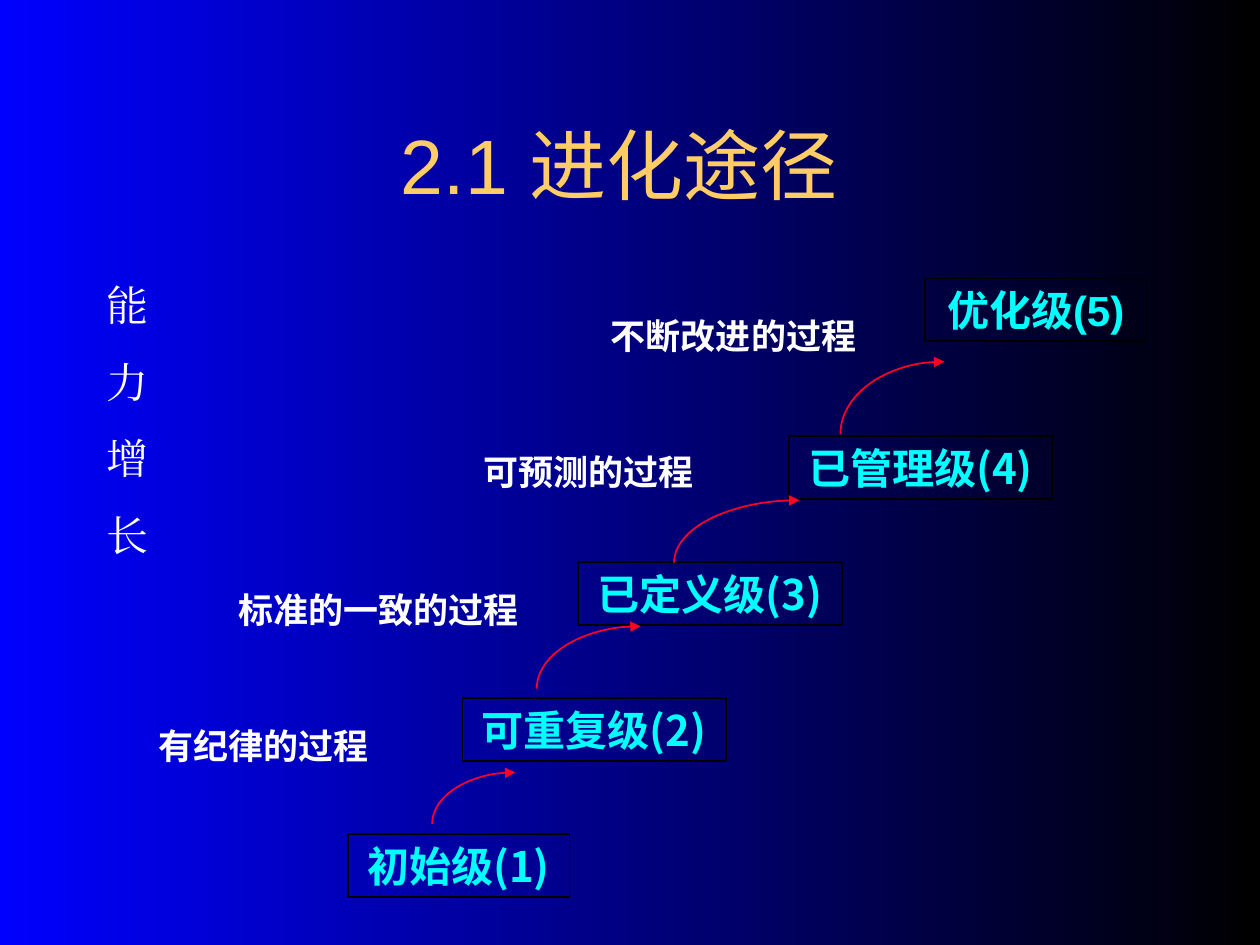
"""Build the slide on the five-level path of process growth."""
from dataclasses import dataclass
from typing import Optional

import lxml.etree
import pptx
import pptx.dml.color
import pptx.enum.shapes
import pptx.enum.text
import pptx.oxml.ns
import pptx.util

Inches = pptx.util.Inches
Pt = pptx.util.Pt
RGB = pptx.dml.color.RGBColor
Align = pptx.enum.text.PP_ALIGN
Anchor = pptx.enum.text.MSO_ANCHOR
Kind = pptx.enum.shapes.MSO_SHAPE
qn = pptx.oxml.ns.qn


@dataclass(frozen=True)
class Theme:
    dark: RGB = RGB(0, 0, 0)
    blue: RGB = RGB(0, 0, 255)
    gold: RGB = RGB(255, 204, 102)
    white: RGB = RGB(255, 255, 255)
    cyan: RGB = RGB(0, 255, 255)
    red: RGB = RGB(252, 1, 40)
    title: float = 44
    label: float = 20
    level: float = 24
    rule: float = 1
    sans: str = "Noto Sans CJK SC"
    latin: str = "Arial"
    serif: str = "Times New Roman"


@dataclass(frozen=True)
class Box:
    left: float
    top: float
    width: float
    height: float

    def args(self) -> tuple:
        return tuple(map(Inches, (self.left, self.top, self.width, self.height)))


@dataclass(frozen=True)
class Style:
    face: str
    size: float
    color: RGB
    bold: bool = False
    align: Align = Align.CENTER
    anchor: Anchor = Anchor.MIDDLE
    before: float = 0
    line: Optional[float] = None
    hang: float = 0


@dataclass(frozen=True)
class Item:
    text: str
    box: Box
    style: Style


THEME = Theme()
HEAD = Style(THEME.latin, THEME.title, THEME.gold)
LABEL = Style(THEME.sans, THEME.label, THEME.white, True)
FIRST = Style(THEME.sans, THEME.label, THEME.white, True, Align.LEFT)
LEVEL = Style(THEME.sans, THEME.level, THEME.cyan, True)
TOP = Style(THEME.latin, THEME.level, THEME.cyan, True)
BODY = Style(THEME.serif, THEME.level, THEME.white, False, Align.LEFT,
             Anchor.TOP, 15, 28.8, 0.38)

TITLE = Item("2.1 进化途径 ", Box(0.75, 0.67, 8.5, 1.25), HEAD)
GROWTH = Item("能\n力\n增\n长", Box(0.75, 2.17, 8.5, 4.5), BODY)
LABELS = (
    Item("不断改进的过程", Box(4.75, 2.45, 2.26, 0.43), FIRST),
    Item("可预测的过程", Box(3.5, 3.53, 2.34, 0.43), LABEL),
    Item("标准的一致的过程", Box(1.5, 4.62, 3.01, 0.43), LABEL),
    Item("有纪律的过程", Box(1, 5.7, 2.18, 0.43), LABEL),
)
LEVELS = (
    Item("已管理级(4)", Box(6.26, 3.46, 2.09, 0.5), LEVEL),
    Item("已定义级(3)", Box(4.59, 4.46, 2.09, 0.5), LEVEL),
    Item("可重复级(2)", Box(3.67, 5.54, 2.09, 0.5), LEVEL),
    Item("初始级(1)", Box(2.76, 6.62, 1.76, 0.5), LEVEL),
    Item("优化级(5)", Box(7.34, 2.21, 1.76, 0.5), TOP),
)
ARCS = (
    Box(3.43, 6.13, 1.32, 0.82),
    Box(4.26, 4.97, 1.65, 0.99),
    Box(5.35, 3.97, 1.99, 0.99),
    Box(6.67, 2.87, 1.65, 1.15),
)


def write(shape, item: Item) -> None:
    """Fill a shape with styled text."""
    style = item.style
    frame = shape.text_frame
    frame.word_wrap = True
    frame.vertical_anchor = style.anchor
    frame.text = item.text
    for para in frame.paragraphs:
        para.alignment = style.align
        para.space_before = Pt(style.before)
        if style.line:
            para.line_spacing = Pt(style.line)
        font = para.font
        font.size = Pt(style.size)
        font.bold = style.bold
        font.color.rgb = style.color
        font.name = style.face
        props = para._p.get_or_add_pPr()
        base = props.find(qn("a:defRPr"))
        lxml.etree.SubElement(base, qn("a:ea"), typeface=style.face)
        if style.hang:
            props.set("marL", str(Inches(style.hang)))
            props.set("indent", str(-Inches(style.hang)))


def outline(slide, kind: Kind, box: Box, color: RGB):
    """Add an unfilled preset shape."""
    shape = slide.shapes.add_shape(kind, *box.args())
    shape.shadow.inherit = False
    shape.fill.background()
    shape.line.color.rgb = color
    shape.line.width = Pt(THEME.rule)
    return shape


def note(slide, item: Item) -> None:
    """Add a text box."""
    write(slide.shapes.add_textbox(*item.box.args()), item)


def arrow(slide, box: Box) -> None:
    """Add a quarter arc that rises to the right."""
    arc = outline(slide, Kind.ARC, box, THEME.red)
    arc.adjustments[0] = 108
    arc.adjustments[1] = 162
    line = arc.line._get_or_add_ln()
    lxml.etree.SubElement(line, qn("a:tailEnd"), type="triangle")


def main() -> None:
    """Draw and save the slide."""
    deck = pptx.Presentation()
    deck.slide_width, deck.slide_height = Inches(10), Inches(7.5)
    slide = deck.slides.add_slide(deck.slide_layouts[6])
    fill = slide.background.fill
    fill.gradient()
    fill.gradient_angle = 180
    for stop, color in zip(fill.gradient_stops, (THEME.dark, THEME.blue)):
        stop.color.rgb = color
    for item in (TITLE, *LABELS):
        note(slide, item)
    for item in LEVELS:
        write(outline(slide, Kind.RECTANGLE, item.box, THEME.dark), item)
    for box in ARCS:
        arrow(slide, box)
    note(slide, GROWTH)
    deck.save("out.pptx")


main()
